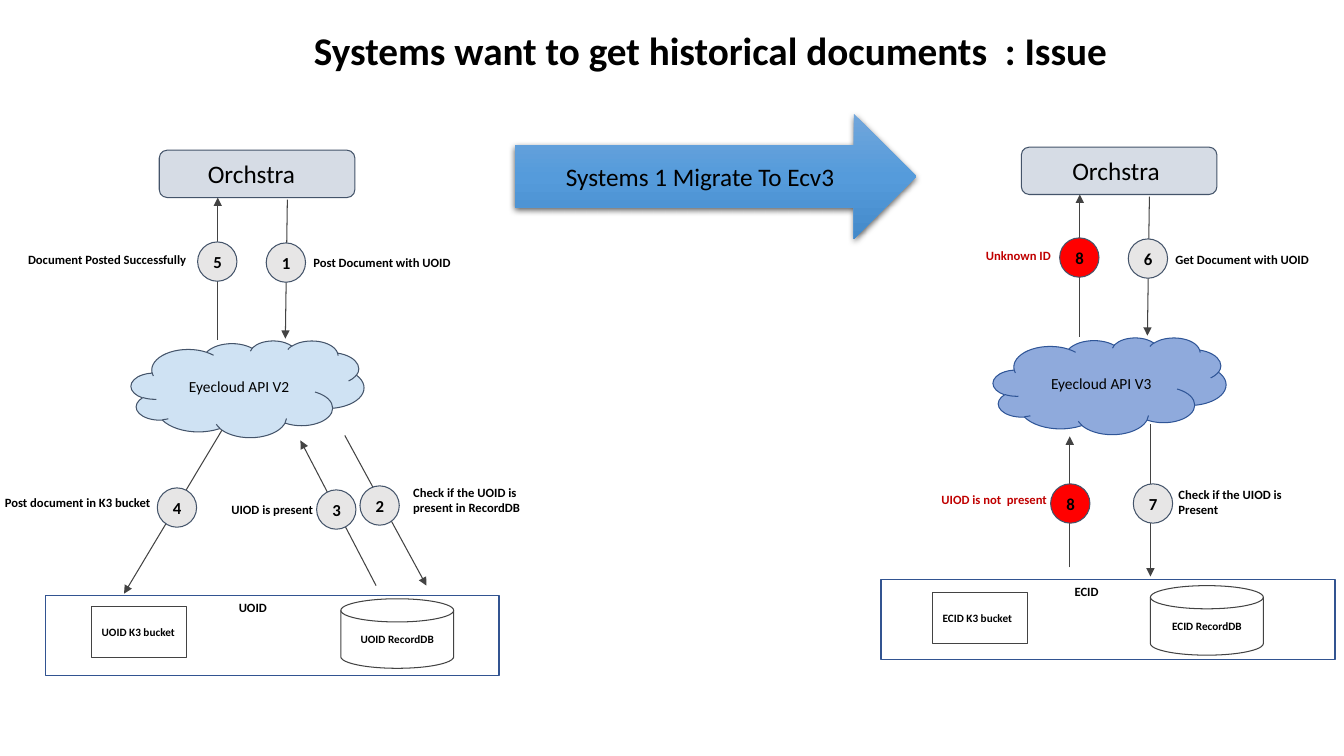
from copy import deepcopy
from dataclasses import dataclass

from lxml.etree import SubElement
from pptx import Presentation
from pptx.dml.color import RGBColor
from pptx.enum.shapes import MSO_CONNECTOR, MSO_SHAPE
from pptx.enum.text import MSO_ANCHOR, PP_ALIGN
from pptx.oxml.ns import qn
from pptx.util import Inches, Pt

COLORS = {
    "black": "000000", "alert_text": "C00000", "alert": "FF0000",
    "step": "E7E6E6", "slate": "44546A", "system": "D6DCE5",
    "cloud_v2": "CFE2F3", "cloud_v3": "8FAADC", "navy": "2F5597",
    "wire": "434343", "frame": "325491",
    "arrow_top": "71A6DB", "arrow_mid": "559BDB", "arrow_end": "448ACA",
}
STEP_SIZE = 0.39
INSET = 0.1


@dataclass
class Side:
    """Top half of one flow (dx, dy move it) and its document store."""
    dx: float
    dy: float
    cloud: str
    cloud_fill: str
    cloud_line: str
    system_inset: float
    store: str
    frame: tuple[float, float]
    bucket: tuple[float, float]
    database: tuple[float, float]


@dataclass
class Arrow:
    x1: float
    y1: float
    x2: float
    y2: float


@dataclass
class Step:
    number: str
    x: float
    y: float
    fill: str = "step"


@dataclass
class Label:
    text: str
    x: float
    y: float
    w: float
    h: float
    color: str = "black"
    align: PP_ALIGN = PP_ALIGN.LEFT


SIDES = [
    Side(0, 0, "Eyecloud API V2", "cloud_v2", "slate", 0.21, "UOID",
         (0.45, 5.91), (0.91, 6.02), (3.38, 5.94)),
    Side(8.55, -0.03, "Eyecloud API V3", "cloud_v3", "navy", 0.16, "ECID",
         (8.74, 5.75), (9.25, 5.88), (11.41, 5.81)),
]
TOP_ARROWS = [Arrow(2.85, 1.98, 2.83, 3.36), Arrow(2.16, 3.37, 2.16, 1.96)]
STORE_ARROWS = [
    Arrow(3.42, 4.32, 4.23, 5.81), Arrow(2.2, 4.27, 1.23, 5.89),
    Arrow(3.73, 5.81, 2.98, 4.37),
    Arrow(11.41, 4.21, 11.41, 5.72), Arrow(10.61, 5.63, 10.61, 4.33),
]
STEPS = [
    Step("1", 2.64, 2.41), Step("5", 1.96, 2.4), Step("2", 3.57, 4.82),
    Step("3", 3.14, 4.86), Step("4", 1.56, 4.84),
    Step("6", 11.19, 2.37), Step("8", 10.51, 2.36, "alert"),
    Step("7", 11.24, 4.8), Step("8", 10.42, 4.8, "alert"),
]
LABELS = [
    Label("Post Document with UOID", 3.01, 2.45, 1.94, 0.5),
    Label("Document Posted Successfully", 0.18, 2.42, 1.8, 0.5),
    Label("Check if the UOID is present in RecordDB", 4, 4.71, 1.36, 0.5),
    Label("Post document in K3 bucket", -0.05, 4.83, 1.8, 0.35),
    Label("UIOD is present", 2.02, 4.9, 1.36, 0.35, align=PP_ALIGN.CENTER),
    Label("Get Document with UOID", 11.56, 2.42, 1.94, 0.5),
    Label("Unknown ID", 9.68, 2.38, 1.01, 0.5, "alert_text"),
    Label("Check if the UIOD is Present", 11.59, 4.73, 1.36, 0.5),
    Label("UIOD is not  present", 9.18, 4.8, 1.36, 0.35, "alert_text", PP_ALIGN.CENTER),
]


def rgb(name: str) -> RGBColor:
    return RGBColor.from_string(COLORS[name])


def write(s, text: str, size: float, bold: bool = False, color: str = "black",
          align=PP_ALIGN.CENTER, anchor=MSO_ANCHOR.MIDDLE, inset: float = INSET):
    tf = s.text_frame
    tf.word_wrap = True
    tf.vertical_anchor = anchor
    tf.margin_left = tf.margin_right = tf.margin_top = tf.margin_bottom = Inches(inset)
    tf.text = text
    p = tf.paragraphs[0]
    p.alignment = align
    font = p.runs[0].font
    font.name, font.size, font.bold = "Calibri", Pt(size), bold
    font.color.rgb = rgb(color)
    return tf


def add_box(slide, kind, x: float, y: float, w: float, h: float,
            line: str, fill: str = "", width: float = 0.75):
    s = slide.shapes.add_shape(kind, Inches(x), Inches(y), Inches(w), Inches(h))
    s.shadow.inherit = False
    if fill:
        s.fill.solid()
        s.fill.fore_color.rgb = rgb(fill)
    else:
        s.fill.background()
    s.line.color.rgb = rgb(line)
    s.line.width = Pt(width)
    return s


def add_text(slide, x: float, y: float, w: float, h: float):
    return slide.shapes.add_textbox(Inches(x), Inches(y), Inches(w), Inches(h))


def add_label(slide, label: Label) -> None:
    s = add_text(slide, label.x, label.y, label.w, label.h)
    write(s, label.text, 9, True, label.color, label.align, MSO_ANCHOR.TOP)


def add_arrow(slide, a: Arrow, dx: float = 0, dy: float = 0) -> None:
    c = slide.shapes.add_connector(
        MSO_CONNECTOR.STRAIGHT, Inches(a.x1 + dx), Inches(a.y1 + dy),
        Inches(a.x2 + dx), Inches(a.y2 + dy))
    c.line.color.rgb = rgb("wire")
    c.line.width = Pt(0.75)
    sp_pr = c._element.spPr
    SubElement(sp_pr.find(qn("a:ln")), qn("a:tailEnd"), type="triangle")
    SubElement(sp_pr, qn("a:effectLst"))


def add_step(slide, step: Step) -> None:
    s = add_box(slide, MSO_SHAPE.OVAL, step.x, step.y, STEP_SIZE, STEP_SIZE, "slate", step.fill)
    write(s, step.number, 12, True, align=PP_ALIGN.LEFT)


def add_side(slide, side: Side) -> None:
    # Calling system and cloud API
    s = add_box(slide, MSO_SHAPE.FLOWCHART_ALTERNATE_PROCESS, 1.58 + side.dx,
                1.49 + side.dy, 1.94, 0.47, "slate", "system")
    write(s, "Orchstra", 18).margin_right = Inches(side.system_inset)
    for arrow in TOP_ARROWS:
        add_arrow(slide, arrow, side.dx, side.dy)
    s = add_box(slide, MSO_SHAPE.CLOUD, 1.3 + side.dx, 3.38 + side.dy, 2.31, 0.96,
                side.cloud_line, side.cloud_fill)
    write(s, side.cloud, 11)

    # Document store
    x, y = side.frame
    add_box(slide, MSO_SHAPE.RECTANGLE, x, y, 4.5, 0.79, "frame", width=1)
    add_label(slide, Label(side.store, x + 1.82, y - 0.03, 0.56, 0.36))
    s = add_box(slide, MSO_SHAPE.RECTANGLE, *side.bucket, 0.94, 0.5, "wire")
    write(s, f"{side.store} K3 bucket", 8, True, align=PP_ALIGN.LEFT)
    s = add_box(slide, MSO_SHAPE.FLOWCHART_MAGNETIC_DISK, *side.database, 1.12, 0.69, "wire")
    write(s, f"{side.store} RecordDB", 8, True)


def add_migration(slide) -> None:
    s = slide.shapes.add_shape(MSO_SHAPE.RIGHT_ARROW, Inches(5.11), Inches(1.13),
                               Inches(3.98), Inches(1.24))
    s.shadow.inherit = False
    s.line.fill.background()
    s.fill.gradient()
    s.fill.gradient_angle = 270
    sp_pr = s._element.spPr
    stops = sp_pr.find(f".//{qn('a:gsLst')}")
    stops.append(deepcopy(stops[-1]))
    for stop, position, color in zip(s.fill.gradient_stops, (0, 0.5, 1),
                                     ("arrow_top", "arrow_mid", "arrow_end")):
        stop.position = position
        stop.color.rgb = rgb(color)
    shadow = SubElement(sp_pr.find(qn("a:effectLst")), qn("a:outerShdw"),
                        blurRad=str(Pt(4.5)), dist=str(Pt(1.5)), dir="5400000",
                        algn="ctr", rotWithShape="0")
    tint = SubElement(shadow, qn("a:srgbClr"), val=COLORS["black"])
    SubElement(tint, qn("a:alpha"), val="63000")
    write(s, "Systems 1 Migrate To Ecv3", 18)


def main() -> None:
    prs = Presentation()
    prs.slide_width, prs.slide_height = Inches(13.33), Inches(7.5)
    slide = prs.slides.add_slide(prs.slide_layouts[6])

    # Title and migration arrow
    s = add_text(slide, 1.72, 0.21, 10.65, 0.62)
    tf = write(s, "Systems want to get historical documents  : Issue", 28, True, inset=0)
    tf.paragraphs[0].line_spacing = 0.9
    add_migration(slide)

    # Flows before and after the migration
    for side in SIDES:
        add_side(slide, side)
    for arrow in STORE_ARROWS:
        add_arrow(slide, arrow)
    for step in STEPS:
        add_step(slide, step)
    for label in LABELS:
        add_label(slide, label)

    prs.save("out.pptx")


if __name__ == "__main__":
    main()
